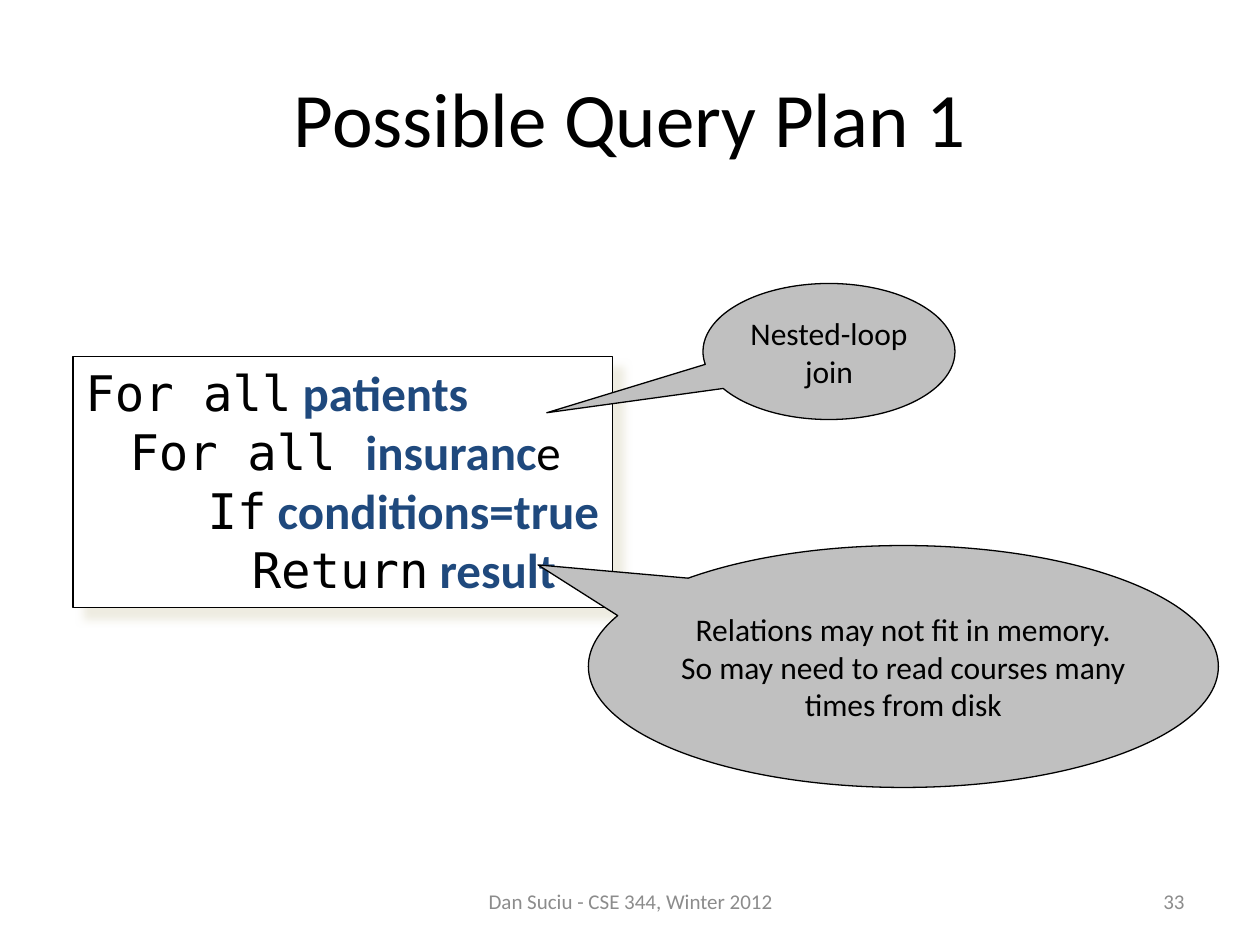
from lxml import etree
from pptx import Presentation
from pptx.dml.color import RGBColor
from pptx.enum import shapes, text
from pptx.oxml import ns
from pptx.util import Inches, Pt

BLACK = RGBColor(0x00, 0x00, 0x00)
WHITE = RGBColor(0xFF, 0xFF, 0xFF)
NAVY = RGBColor(0x1F, 0x49, 0x7D)
SILVER = RGBColor(0xC0, 0xC0, 0xC0)
GRAY = RGBColor(0x8C, 0x8C, 0x8C)
CREAM = RGBColor(0xEE, 0xEC, 0xE1)
BODY = "Calibri"
CODE = "DejaVu Sans Mono"
LEFT, CENTER, RIGHT = text.PP_ALIGN.LEFT, text.PP_ALIGN.CENTER, text.PP_ALIGN.RIGHT
MIDDLE = text.MSO_ANCHOR.MIDDLE


def box(left, top, width, height):
    return Inches(left), Inches(top), Inches(width), Inches(height)


def add_run(paragraph, words, size=18, font=BODY, color=BLACK, bold=False):
    run = paragraph.add_run()
    run.text = words
    run.font.size = Pt(size)
    run.font.name = font
    run.font.color.rgb = color
    run.font.bold = bold


def write(frame, words, align=CENTER, **style):
    frame.word_wrap = True
    frame.vertical_anchor = MIDDLE
    frame.paragraphs[0].alignment = align
    add_run(frame.paragraphs[0], words, **style)


def add_outlined(slide, kind, place, fill):
    outlined = slide.shapes.add_shape(kind, *box(*place))
    outlined.shadow.inherit = False
    outlined.fill.solid()
    outlined.fill.fore_color.rgb = fill
    outlined.line.color.rgb = BLACK
    outlined.line.width = Pt(0.75)
    return outlined


def add_callout(slide, words, place, pointer):
    callout = add_outlined(slide, shapes.MSO_SHAPE.OVAL_CALLOUT, place, SILVER)
    callout.adjustments[0], callout.adjustments[1] = pointer
    frame = callout.text_frame
    frame.margin_left = frame.margin_right = frame.margin_top = frame.margin_bottom = 0
    write(frame, words)


def add_drop_shadow(target, color, blur, distance, angle):
    effects = target._element.spPr.find(ns.qn("a:effectLst"))
    shadow = etree.SubElement(effects, ns.qn("a:outerShdw"), blurRad=str(Pt(blur)),
                              dist=str(Pt(distance)), dir=str(angle * 60000),
                              algn="tl", rotWithShape="0")
    etree.SubElement(shadow, ns.qn("a:srgbClr"), val=str(color))


def add_pseudocode(slide, lines, place):
    plan = add_outlined(slide, shapes.MSO_SHAPE.RECTANGLE, place, WHITE)
    add_drop_shadow(plan, CREAM, blur=5, distance=8.5, angle=45)
    frame = plan.text_frame
    frame.word_wrap = False
    frame.auto_size = text.MSO_AUTO_SIZE.SHAPE_TO_FIT_TEXT
    frame.vertical_anchor = text.MSO_ANCHOR.TOP
    for number, (indent, keyword, operand, ending) in enumerate(lines):
        paragraph = frame.add_paragraph() if number else frame.paragraphs[0]
        paragraph.alignment = LEFT
        properties = paragraph._p.get_or_add_pPr()
        properties.set("marL", str(Inches(indent)))
        properties.set("indent", "0")
        add_run(paragraph, keyword, size=28, font=CODE)
        add_run(paragraph, operand, size=28, color=NAVY, bold=True)
        if ending:
            add_run(paragraph, ending, size=28)


def add_footer(slide, words, place, align):
    footer = slide.shapes.add_textbox(*box(*place))
    write(footer.text_frame, words, align=align, size=12, color=GRAY)


def main():
    deck = Presentation()
    deck.slide_width, deck.slide_height = Inches(10), Inches(7.5)
    slide = deck.slides.add_slide(deck.slide_layouts[5])

    title = slide.shapes.title
    title.left, title.top, title.width, title.height = box(0.5, 0.3, 9, 1.25)
    write(title.text_frame, "Possible Query Plan 1", size=44)

    add_footer(slide, "Dan Suciu - CSE 344, Winter 2012", (3.42, 6.95, 3.17, 0.4), CENTER)
    add_footer(slide, "33", (7.17, 6.95, 2.33, 0.4), RIGHT)

    add_pseudocode(slide, [
        (0, "For all", " patients", ""),
        (0.35, "For all ", "insuranc", "e"),
        (0.97, "If", " conditions=true", ""),
        (1.32, "Return", " result", ""),
    ], (0.58, 2.83, 4.28, 1.99))

    add_callout(slide, "Nested-loop join", (5.58, 2.25, 2, 1.08), (-1.12, 0.45))
    add_callout(slide, "Relations may not fit in memory. So may need to read courses "
                "many times from disk", (4.67, 4.33, 5, 1.92), (-0.58, -0.42))

    deck.save("out.pptx")


main()
